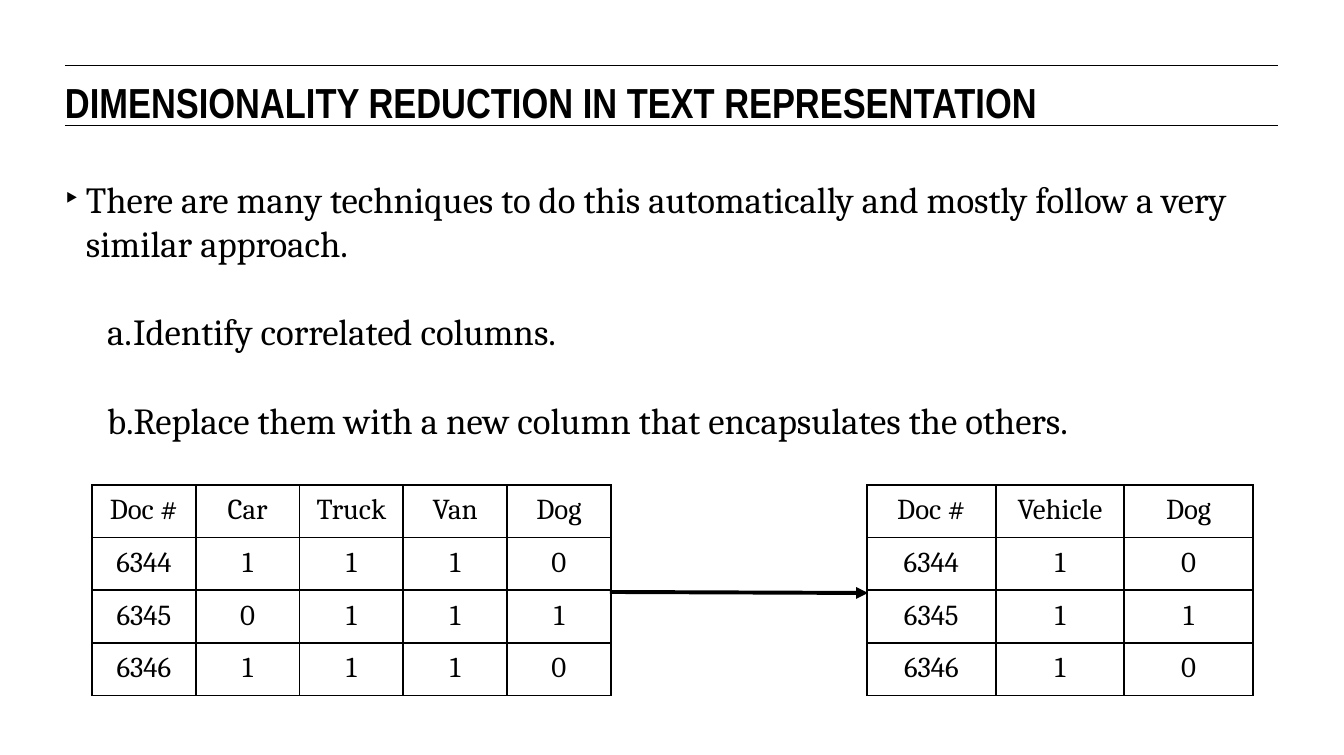
from lxml.etree import SubElement
from pptx import Presentation
from pptx.dml.color import RGBColor
from pptx.enum.shapes import MSO_CONNECTOR
from pptx.enum.text import MSO_ANCHOR, PP_ALIGN
from pptx.oxml.ns import qn
from pptx.util import Pt

EMU_PER_PX = 914400 / 94.5
BLACK = "000000"
TITLE_FONT = {"name": "Arial Narrow", "size": Pt(32), "bold": True}
BODY_FONT = {"name": "Cambria", "size": Pt(28), "bold": False}
CELL_FONT = {"name": "Cambria", "size": Pt(22), "bold": False}
LINE_GAP = 44
ROW_HEIGHT = 52

INTRODUCTION = "There are many techniques to do this automatically and mostly follow a very similar approach."
STEPS = [
    "Identify correlated columns.",
    "Replace them with a new column that encapsulates the others.",
]
ORIGINAL_COLUMNS = [
    ["Doc #", "Car", "Truck", "Van", "Dog"],
    ["6344", "1", "1", "1", "0"],
    ["6345", "0", "1", "1", "1"],
    ["6346", "1", "1", "1", "0"],
]
REDUCED_COLUMNS = [
    ["Doc #", "Vehicle", "Dog"],
    ["6344", "1", "0"],
    ["6345", "1", "1"],
    ["6346", "1", "0"],
]


def px(length):
    return round(length * EMU_PER_PX)


def color(value):
    return RGBColor.from_string(value)


def set_attributes(target, values):
    for name, value in values.items():
        setattr(target, name, value)


def write_text(paragraph, text, font):
    run = paragraph.add_run()
    run.text = text
    set_attributes(run.font, font)
    run.font.color.rgb = color(BLACK)


def add_line(slide, start, end, width):
    connector = slide.shapes.add_connector(
        MSO_CONNECTOR.STRAIGHT, *map(px, (*start, *end))
    )
    connector.line.color.rgb = color(BLACK)
    connector.line.width = Pt(width)
    SubElement(connector._element.spPr, qn("a:effectLst"))
    return connector


def add_text_frame(slide, left, top, width, height):
    text_frame = slide.shapes.add_textbox(*map(px, (left, top, width, height))).text_frame
    set_attributes(text_frame, {
        "word_wrap": True,
        "vertical_anchor": MSO_ANCHOR.TOP,
        "margin_left": 0,
        "margin_top": 0,
        "margin_right": 0,
        "margin_bottom": 0,
    })
    return text_frame


def add_title(slide, left, top, width, height):
    for line_top in (top, top + height):
        add_line(slide, (left, line_top), (left + width, line_top), 0.75)
    text_frame = add_text_frame(slide, left, top + 12, width, height - 16)
    write_text(
        text_frame.paragraphs[0],
        "DIMENSIONALITY REDUCTION IN TEXT REPRESENTATION",
        TITLE_FONT,
    )


def add_bullet(paragraph, margin, hanging, tag, values):
    properties = paragraph._p.get_or_add_pPr()
    properties.set("marL", str(px(margin)))
    properties.set("indent", str(-px(hanging)))
    SubElement(properties, qn("a:buFont"), typeface="Arial")
    SubElement(properties, qn(tag), values)


def add_body(slide, left, top, width, height):
    text_frame = add_text_frame(slide, left, top, width, height)
    introduction = text_frame.paragraphs[0]
    write_text(introduction, INTRODUCTION, BODY_FONT)
    add_bullet(introduction, 21, 21, "a:buChar", {"char": "‣"})
    for step in STEPS:
        paragraph = text_frame.add_paragraph()
        set_attributes(paragraph, {"level": 1, "space_before": px(LINE_GAP)})
        write_text(paragraph, step, BODY_FONT)
        add_bullet(paragraph, 68, 26, "a:buAutoNum", {"type": "alphaLcPeriod"})


def add_cell_borders(cell):
    properties = cell._tc.get_or_add_tcPr()
    for side in ("lnL", "lnR", "lnT", "lnB"):
        border = SubElement(properties, qn(f"a:{side}"), w=str(Pt(1.5)))
        fill = SubElement(border, qn("a:solidFill"))
        SubElement(fill, qn("a:srgbClr"), val=BLACK)


def add_document_table(slide, left, top, width, rows):
    column_count = len(rows[0])
    table = slide.shapes.add_table(
        len(rows), column_count, px(left), px(top), px(width), px(ROW_HEIGHT * len(rows))
    ).table
    set_attributes(table, {"first_row": False, "horz_banding": False})
    for column in table.columns:
        column.width = px(width / column_count)
    for row_index, values in enumerate(rows):
        table.rows[row_index].height = px(ROW_HEIGHT)
        for column_index, value in enumerate(values):
            cell = table.cell(row_index, column_index)
            set_attributes(cell, {
                "margin_left": px(9),
                "margin_right": px(9),
                "margin_top": px(9),
                "margin_bottom": px(9),
            })
            add_cell_borders(cell)
            cell.fill.background()
            paragraph = cell.text_frame.paragraphs[0]
            paragraph.alignment = PP_ALIGN.CENTER
            write_text(paragraph, value, CELL_FONT)


def add_reduction(slide, left, top, width):
    original_width, reduced_width = 519, 386
    reduced_left = left + width - reduced_width
    add_document_table(slide, left, top, original_width, ORIGINAL_COLUMNS)
    add_document_table(slide, reduced_left, top, reduced_width, REDUCED_COLUMNS)
    arrow = add_line(
        slide, (left + original_width - 1, top + 107), (reduced_left + 1, top + 108), 3
    )
    SubElement(arrow.line._get_or_add_ln(), qn("a:tailEnd"), type="triangle")


def main():
    presentation = Presentation()
    set_attributes(presentation, {"slide_width": px(1344), "slide_height": px(755)})
    slide = presentation.slides.add_slide(presentation.slide_layouts[6])
    add_title(slide, 65, 65, 1213, 61)
    add_body(slide, 65, 177, 1213, 292)
    add_reduction(slide, 92, 485, 1161)
    presentation.save("out.pptx")


if __name__ == "__main__":
    main()
